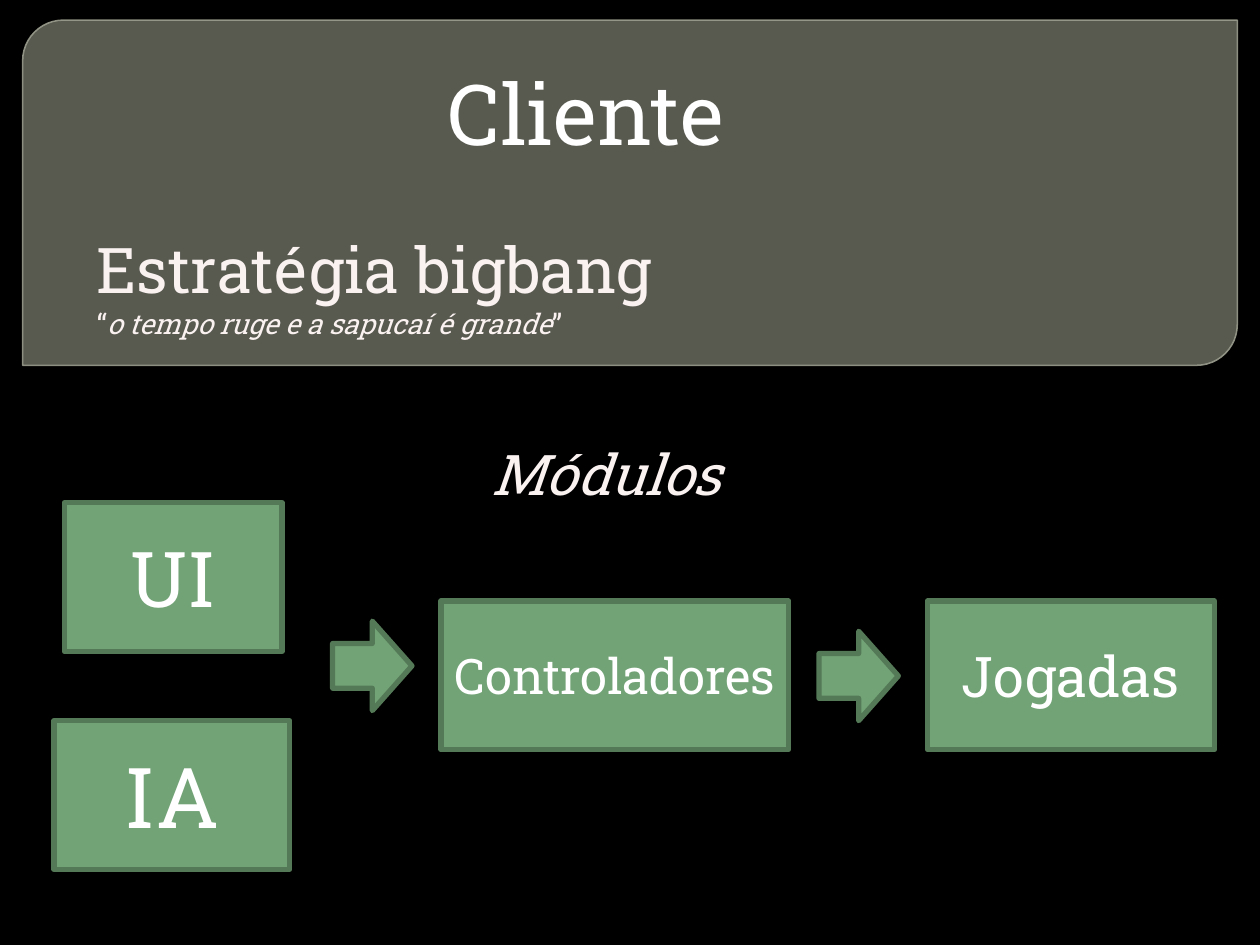
"""Build the client strategy slide with its module flow."""
from dataclasses import dataclass

from lxml.etree import SubElement
from pptx import Presentation
from pptx.dml.color import RGBColor
from pptx.enum.shapes import MSO_SHAPE
from pptx.enum.text import MSO_ANCHOR, MSO_AUTO_SIZE, PP_ALIGN
from pptx.oxml.ns import qn
from pptx.util import Inches, Pt

COLS, ROWS = 100, 75
W, H = Inches(10), Inches(7.5)
FONT = "Roboto Slab"
WHITE, CREAM = "FFFFFF", "FAF1F1"
GREEN, DARK_GREEN = "72A376", "547957"
BOX_ROWS = 11.8
FLOW_ROW = 47.7

Area = tuple[float, float, float, float]


@dataclass
class Run:
    text: str
    size: float
    color: str = CREAM
    italic: bool = False


@dataclass
class Module:
    name: str
    size: float
    col: float
    row: float
    cols: float


MODULES = [
    Module("UI", 44, 5.1, 39.9, 17.3),
    Module("Controladores", 28, 35, FLOW_ROW, 27.6),
    Module("IA", 48, 4.3, 57.2, 18.7),
    Module("Jogadas", 32, 73.6, FLOW_ROW, 22.8),
]
ARROWS = [(26.4, 49.3), (65, 50.1)]


def rgb(value: str) -> RGBColor:
    """Turn a hex string into a colour."""
    return RGBColor.from_string(value)


def place(sp, area: Area) -> None:
    """Put a shape on the grid, given as column, row, columns and rows."""
    units = (W / COLS, H / ROWS) * 2
    for name, share, unit in zip(("left", "top", "width", "height"), area, units):
        setattr(sp, name, round(share * unit))


def write(sp, paras: list[list[Run]], align=PP_ALIGN.LEFT, anchor=MSO_ANCHOR.TOP) -> None:
    """Fill a shape with paragraphs of formatted runs."""
    tf = sp.text_frame
    frame = {"word_wrap": True, "auto_size": MSO_AUTO_SIZE.NONE, "vertical_anchor": anchor}
    for name, value in frame.items():
        setattr(tf, name, value)
    for i, runs in enumerate(paras):
        p = tf.add_paragraph() if i else tf.paragraphs[0]
        p.alignment = align
        for run in runs:
            r = p.add_run()
            r.text = run.text
            font = {"name": FONT, "size": Pt(run.size), "italic": run.italic}
            for name, value in font.items():
                setattr(r.font, name, value)
            r.font.color.rgb = rgb(run.color)


def add_text(s, area: Area, paras: list[list[Run]], align=PP_ALIGN.LEFT) -> None:
    """Add a text box."""
    sp = s.shapes.add_textbox(0, 0, W, H)
    place(sp, area)
    write(sp, paras, align)


def add_shape(s, kind, area: Area, fill=GREEN, line=DARK_GREEN, width=3.0):
    """Add a filled and outlined preset shape."""
    sp = s.shapes.add_shape(kind, 0, 0, W, H)
    place(sp, area)
    sp.shadow.inherit = False
    sp.fill.solid()
    sp.fill.fore_color.rgb = rgb(fill)
    sp.line.color.rgb = rgb(line)
    sp.line.width = Pt(width)
    return sp


def add_panel(s) -> None:
    """Add the translucent header panel behind everything else."""
    sp = add_shape(s, MSO_SHAPE.ROUND_2_DIAG_RECTANGLE, (1.8, 1.6, 96.4, 27.4),
                   "888B7B", "9DA090", 0.87)
    sp.adjustments[0], sp.adjustments[1] = 0.118, 0
    for clr, alpha in zip(sp.element.spPr.iter(qn("a:srgbClr")), (65, 88)):
        SubElement(clr, qn("a:alpha"), val=str(alpha * 1000))
    s.shapes.element.insert(2, sp.element)


def main() -> None:
    """Build and save the slide."""
    prs = Presentation()
    prs.slide_width, prs.slide_height = W, H
    s = prs.slides.add_slide(prs.slide_layouts[5])
    s.background.fill.solid()
    s.background.fill.fore_color.rgb = rgb("000000")

    add_panel(s)
    place(s.shapes.title, (7.5, 4.4, 78, 9.1))
    write(s.shapes.title, [[Run("Cliente", 48, WHITE)]], PP_ALIGN.CENTER)
    motto = [Run("“", 16), Run("o tempo ruge e a sapucaí é grande", 16, italic=True), Run("”", 16)]
    add_text(s, (6.7, 17.8, 89.8, 9.8), [[Run("Estratégia bigbang", 36)], motto])
    add_text(s, (9.1, 34.4, 78, 6.4), [[Run("Módulos", 32, italic=True)]], PP_ALIGN.CENTER)

    for m in MODULES:
        sp = add_shape(s, MSO_SHAPE.RECTANGLE, (m.col, m.row, m.cols, BOX_ROWS))
        write(sp, [[Run(m.name, m.size, WHITE)]], PP_ALIGN.CENTER, MSO_ANCHOR.MIDDLE)
    for col, row in ARROWS:
        add_shape(s, MSO_SHAPE.RIGHT_ARROW, (col, row, 6.3, 7.1))

    prs.save("out.pptx")


if __name__ == "__main__":
    main()
